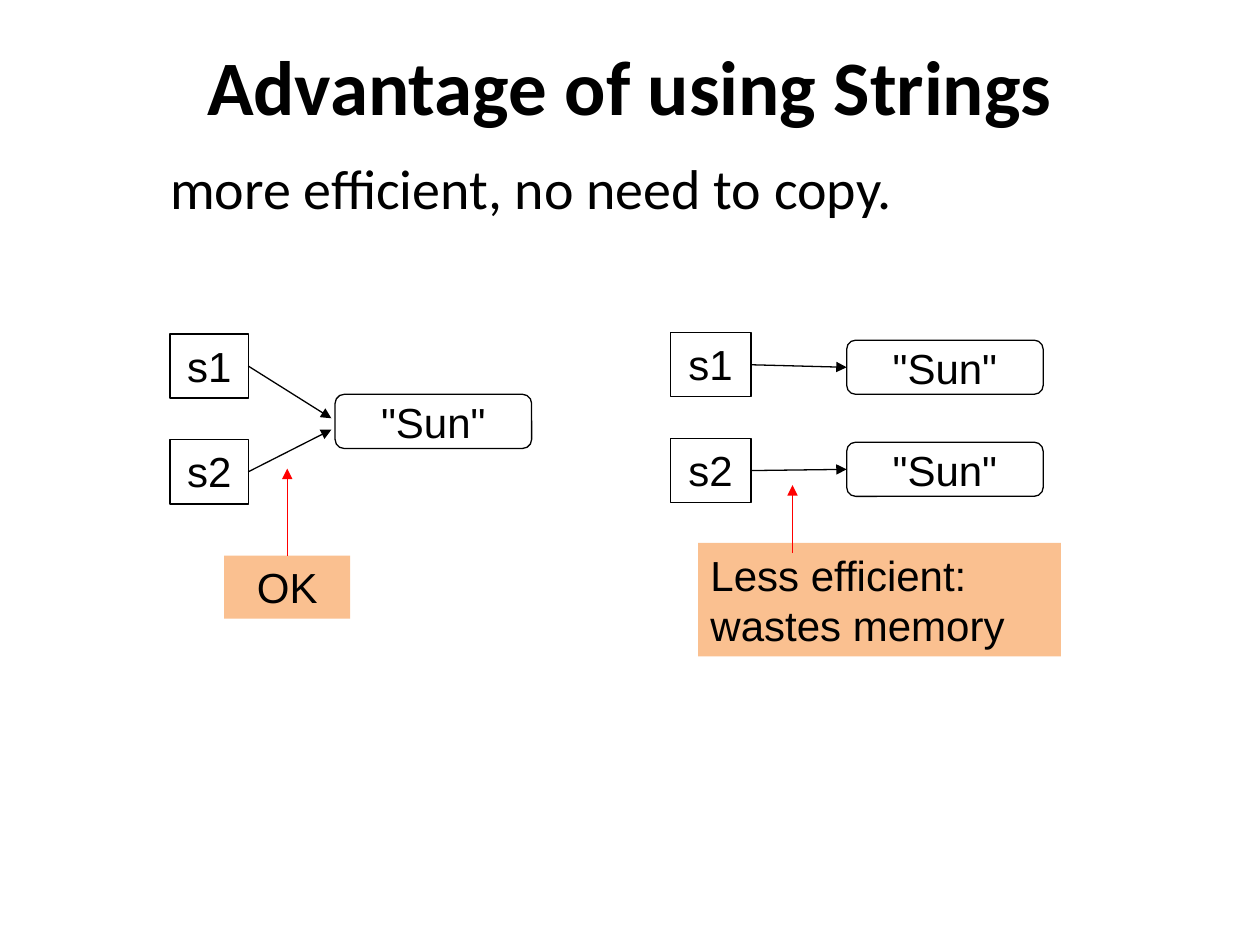
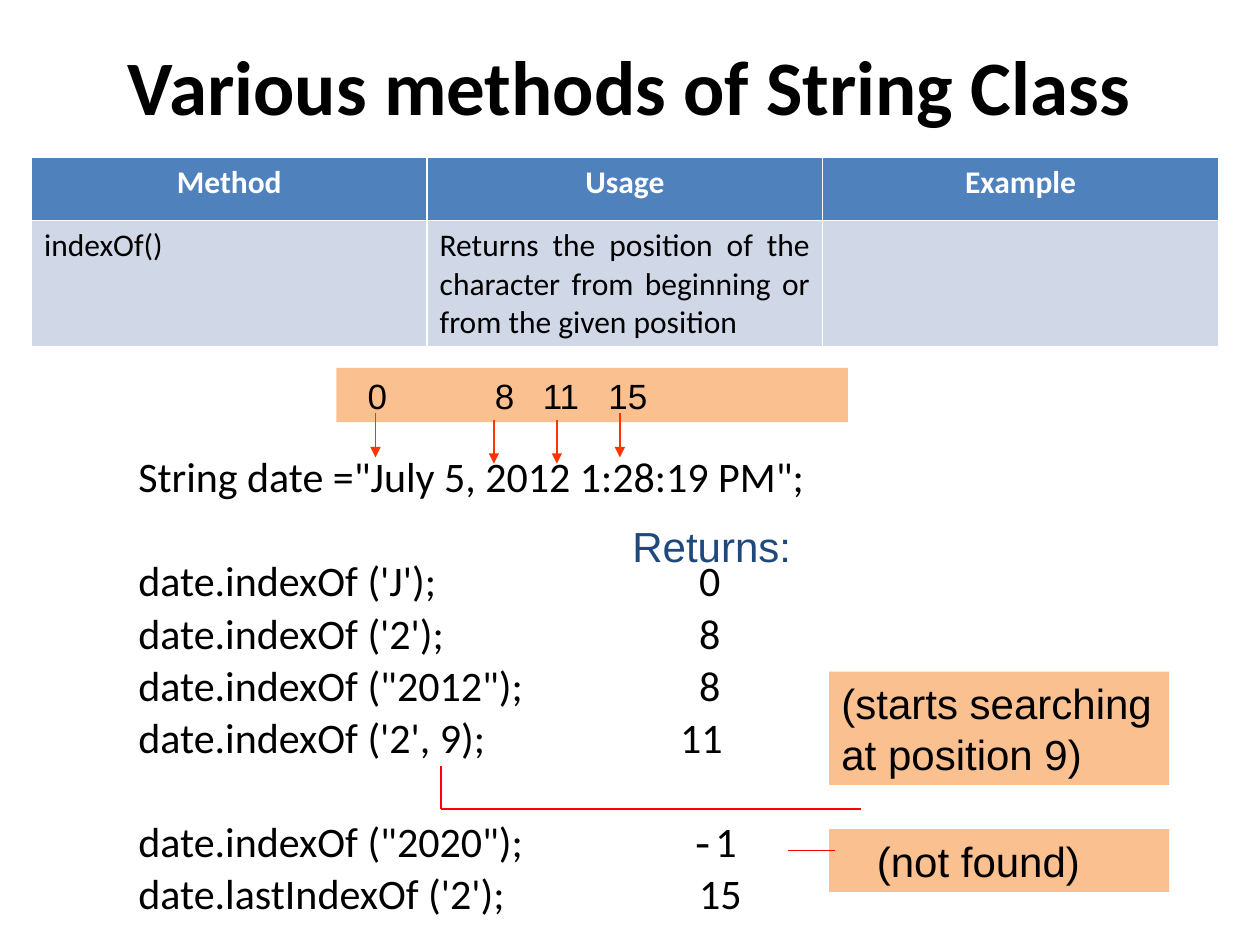
from dataclasses import dataclass

from lxml import etree
from pptx import Presentation
from pptx.dml.color import RGBColor
from pptx.enum.shapes import MSO_CONNECTOR, MSO_SHAPE
from pptx.enum.text import MSO_ANCHOR, PP_ALIGN
from pptx.oxml.ns import qn
from pptx.util import Inches, Pt

RECT = MSO_SHAPE.RECTANGLE
ROUND_RECT = MSO_SHAPE.ROUNDED_RECTANGLE
STRAIGHT = MSO_CONNECTOR.STRAIGHT
LEFT, CENTER, JUSTIFY = PP_ALIGN.LEFT, PP_ALIGN.CENTER, PP_ALIGN.JUSTIFY
TOP, MIDDLE = MSO_ANCHOR.TOP, MSO_ANCHOR.MIDDLE
TOP_SIDE, LEFT_SIDE, RIGHT_SIDE = 0, 1, 3


@dataclass(frozen=True)
class Theme:
    black: str = "000000"
    white: str = "FFFFFF"
    red: str = "FF0000"
    orange_red: str = "FF3300"
    callout: str = "FAC090"
    navy: str = "1F497D"
    table_head: str = "4F81BD"
    table_body: str = "D0D8E8"
    heading_font: str = "Calibri"
    label_font: str = "Arial"
    code_font: str = "Courier New"
    title_size: int = 44
    lead_size: int = 32
    body_size: int = 24
    marker_size: int = 20
    table_size: int = 18
    line_width: float = 0.75


THEME = Theme()


@dataclass(frozen=True)
class Style:
    font: str = THEME.label_font
    size: int = THEME.body_size
    color: str = THEME.black
    bold: bool = False
    align: PP_ALIGN = LEFT


LABEL = Style()
CENTERED = Style(align=CENTER)
TITLE = Style(THEME.heading_font, THEME.title_size, bold=True, align=CENTER)
LEAD = Style(THEME.heading_font, THEME.lead_size)
CODE = Style(THEME.heading_font)
MARKER = Style(size=THEME.marker_size)
RETURNS = Style(color=THEME.navy)
HEAD_CELL = Style(THEME.heading_font, THEME.table_size, THEME.white, True, CENTER)
BODY_CELL = Style(THEME.heading_font, THEME.table_size, align=JUSTIFY)


@dataclass(frozen=True)
class Place:
    left: float
    top: float
    width: float
    height: float

    def lengths(self):
        return [Inches(v) for v in (self.left, self.top, self.width, self.height)]


@dataclass(frozen=True)
class Call:
    code: str
    result: str
    tab: float = 4.45
    after_gap: bool = False


def rgb(color: str) -> RGBColor:
    return RGBColor.from_string(color)


def set_style(para, style: Style) -> None:
    para.alignment = style.align
    para.font.name = style.font
    para.font.size = Pt(style.size)
    para.font.bold = style.bold
    para.font.color.rgb = rgb(style.color)


def add_tabs(para, stops: list[float]) -> None:
    tab_list = etree.SubElement(para._p.get_or_add_pPr(), qn("a:tabLst"))
    for stop in stops:
        etree.SubElement(tab_list, qn("a:tab"), pos=str(Inches(stop)), algn="l")


def write(shape, text: str, style: Style, anchor=TOP, tabs: list[float] | None = None) -> None:
    frame = shape.text_frame
    frame.word_wrap = True
    frame.vertical_anchor = anchor
    para = frame.paragraphs[0]
    para.text = text
    if tabs:
        add_tabs(para, tabs)
    set_style(para, style)


def add_text(page, place: Place, text: str, style: Style, anchor=TOP):
    box = page.shapes.add_textbox(*place.lengths())
    write(box, text, style, anchor)
    return box


def add_box(page, place: Place, text: str, style: Style = LABEL, kind=RECT,
            fill: str | None = None, tabs: list[float] | None = None):
    """Draw a filled box without outline, or an outlined one without fill."""
    box = page.shapes.add_shape(kind, *place.lengths())
    box.shadow.inherit = False
    if fill:
        box.fill.solid()
        box.fill.fore_color.rgb = rgb(fill)
        box.line.fill.background()
    else:
        box.fill.background()
        box.line.color.rgb = rgb(THEME.black)
        box.line.width = Pt(THEME.line_width)
    write(box, text, style, tabs=tabs)
    return box


def add_line(page, start: tuple[float, float], end: tuple[float, float],
             color: str = THEME.black, arrow: bool = False):
    line = page.shapes.add_connector(STRAIGHT, *(Inches(v) for v in start + end))
    line.line.color.rgb = rgb(color)
    line.line.width = Pt(THEME.line_width)
    if arrow:
        etree.SubElement(line.line._get_or_add_ln(), qn("a:tailEnd"), type="triangle")
    etree.SubElement(line._element.spPr, qn("a:effectLst"))
    return line


def add_page(deck, title: str):
    page = deck.slides.add_slide(deck.slide_layouts[6])
    add_text(page, Place(0, 0.17, 10, 1), title, TITLE, MIDDLE)
    return page


def add_variable(page, name: str, left: float, top: float, width: float):
    return add_box(page, Place(left, top, width, 0.51), name, CENTERED)


def add_value(page, left: float, top: float):
    box = add_box(page, Place(left, top, 1.56, 0.43), '"Sun"', CENTERED, ROUND_RECT)
    box.text_frame.margin_top = box.text_frame.margin_bottom = 0
    return box


def draw_advantage(deck) -> None:
    page = add_page(deck, "Advantage of using Strings")
    lead = add_text(page, Place(0.25, 1.17, 9.58, 0.64), "more efficient, no need to copy.", LEAD)
    lead.text_frame.margin_left = Inches(1.1)

    add_value(page, 2.66, 3.13)
    for name, top, target in (("s1", 2.65, 3.32), ("s2", 3.49, 3.41)):
        variable = add_variable(page, name, 1.35, top, 0.62)
        arrow = add_line(page, (1.97, top + 0.25), (2.63, target), arrow=True)
        arrow.begin_connect(variable, RIGHT_SIDE)

    for name, top, value_top in (("s1", 2.64, 2.7), ("s2", 3.48, 3.51)):
        variable = add_variable(page, name, 5.32, top, 0.64)
        value = add_value(page, 6.72, value_top)
        arrow = add_line(page, (5.96, top + 0.25), (6.72, top + 0.25), arrow=True)
        arrow.begin_connect(variable, RIGHT_SIDE)
        arrow.end_connect(value, LEFT_SIDE)

    verdict = add_box(page, Place(1.78, 4.41, 1, 0.5), "OK", CENTERED, fill=THEME.callout)
    pointer = add_line(page, (2.28, 4.41), (2.28, 3.72), THEME.red, arrow=True)
    pointer.begin_connect(verdict, TOP_SIDE)
    add_box(page, Place(5.54, 4.31, 2.88, 0.9), "Less efficient: wastes memory", fill=THEME.callout)
    add_line(page, (6.29, 4.39), (6.29, 3.85), THEME.red, arrow=True)


def add_method_table(page) -> None:
    rows = (
        ("Method", "Usage", "Example"),
        ("indexOf()", "Returns the position of the character from beginning "
                      "or from the given position", ""),
    )
    table = page.shapes.add_table(2, 3, *Place(0.25, 1.25, 9.42, 1.5).lengths()).table
    looks = ((HEAD_CELL, THEME.table_head, 0.5), (BODY_CELL, THEME.table_body, 1))
    for row, texts, (style, fill, height) in zip(table.rows, rows, looks):
        row.height = Inches(height)
        for cell, text in zip(row.cells, texts):
            cell.fill.solid()
            cell.fill.fore_color.rgb = rgb(fill)
            para = cell.text_frame.paragraphs[0]
            para.text = text
            set_style(para, style)


def add_code(page) -> None:
    calls = (
        Call("date.indexOf ('J');", "0", after_gap=True),
        Call("date.indexOf ('2');", "8"),
        Call('date.indexOf ("2012");', "8"),
        Call("date.indexOf ('2', 9);", "11", tab=4.3),
        Call('date.indexOf ("2020");', "-1", tab=4.38, after_gap=True),
        Call("date.lastIndexOf ('2');", "15"),
    )
    line_pitch, gap = 25, 4.8
    box = add_text(page, Place(1, 3.58, 8.5, 3.92),
                   'String date ="July 5, 2012 1:28:19 PM";', CODE)
    box.text_frame.paragraphs[0].line_spacing = Pt(line_pitch)
    for call in calls:
        para = box.text_frame.add_paragraph()
        para.line_spacing = Pt(line_pitch)
        para.space_before = Pt(2 * gap + line_pitch if call.after_gap else gap)
        add_tabs(para, [call.tab])
        set_style(para, CODE)
        para.add_run().text = call.code + "\t"
        if call.result.startswith("-"):
            minus = para.add_run()
            minus.text = "-"
            minus.font.name = THEME.code_font
        para.add_run().text = call.result.lstrip("-")


def draw_methods(deck) -> None:
    page = add_page(deck, "Various methods of String Class")
    add_method_table(page)
    add_code(page)
    add_text(page, Place(4.92, 4.08, 1.62, 0.5), "Returns:", RETURNS)

    add_box(page, Place(2.67, 2.92, 4.06, 0.43), "\t0\t8\t11\t15", MARKER,
            fill=THEME.callout, tabs=[0.15, 1.16, 1.54, 2.06])
    for x, tip in ((2.98, 3.63), (3.92, 3.68), (4.42, 3.68), (4.92, 3.63)):
        add_line(page, (x, tip - 0.35), (x, tip), THEME.orange_red, arrow=True)

    not_found = add_box(page, Place(6.58, 6.58, 2.7, 0.5), "(not found)", fill=THEME.callout)
    not_found.text_frame.margin_left = Inches(0.38)
    add_box(page, Place(6.58, 5.33, 2.7, 0.9), "(starts searching at position 9)",
            fill=THEME.callout)
    for start, end in (((6.25, 6.75), (6.63, 6.75)),
                       ((3.5, 6.42), (6.83, 6.42)),
                       ((3.5, 6.42), (3.5, 6.08))):
        add_line(page, start, end, THEME.red)


def main() -> None:
    deck = Presentation()
    deck.slide_width, deck.slide_height = Inches(10), Inches(7.5)
    draw_advantage(deck)
    draw_methods(deck)
    deck.save("out.pptx")


if __name__ == "__main__":
    main()
